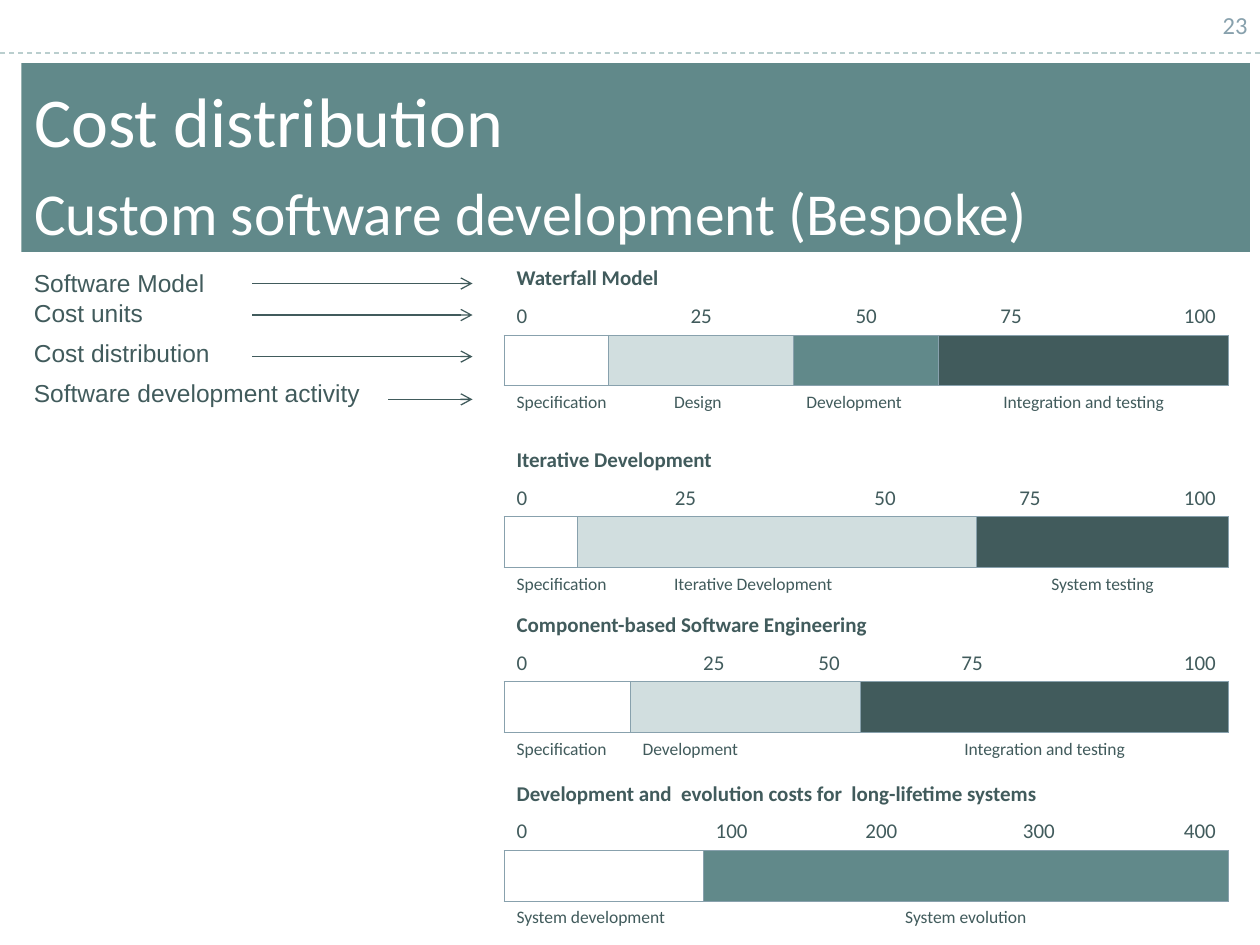
from lxml.etree import SubElement
from pptx import Presentation
from pptx.dml.color import RGBColor
from pptx.enum.dml import MSO_LINE_DASH_STYLE as Dash
from pptx.enum.shapes import MSO_CONNECTOR_TYPE as Connector
from pptx.enum.text import MSO_ANCHOR as Anchor, MSO_AUTO_SIZE as AutoSize, PP_ALIGN as Align
from pptx.oxml.ns import qn
from pptx.util import Inches, Pt

WHITE = RGBColor(0xFF, 0xFF, 0xFF)
PALE = RGBColor(0xD1, 0xDE, 0xDF)
TEAL = RGBColor(0x61, 0x89, 0x8A)
DARK = RGBColor(0x41, 0x5B, 0x5C)
GREY = RGBColor(0x88, 0xA1, 0xAD)
RULE = RGBColor(0xBA, 0xCE, 0xCE)
PLAIN_TABLE = "{2D5ABB26-0587-4C30-8999-92F81FD0307C}"

ROW_HEIGHTS = (0.3, 0.3, 0.4, 0.37)
KEY_LABELS = (("Software Model", 0), ("Cost units", 6),
              ("Cost distribution", 6), ("Software development activity", 0))
KEY_ARROWS = ((2, 2.25), (2, 2.5), (2, 2.83), (3.08, 3.17))
PERCENT = ("0", "25", "50", "75", "100")

# Each phase list holds (value, column span, alignment where it matters).
MODELS = (
    dict(name="Waterfall Model", top=2.06,
         widths=(0.83, 0.42, 1.05, 1.15, 1.15, 1.15),
         scale=PERCENT, scale_spans=(1, 2, 1, 1, 1),
         bars=((None, 1), (PALE, 2), (TEAL, 1), (DARK, 2)),
         phases=(("Specification", 2, Align.LEFT), ("Design", 1, Align.LEFT),
                 ("Development", 1, Align.LEFT), ("Integration and testing", 2, Align.CENTER))),
    dict(name="Iterative Development", top=3.5,
         widths=(0.58, 0.67, 1.05, 1.45, 0.85, 1.15),
         scale=PERCENT, scale_spans=(1, 2, 1, 1, 1),
         bars=((None, 1), (PALE, 3), (DARK, 2)),
         phases=(("Specification", 2, Align.LEFT), ("Iterative Development", 2, Align.LEFT),
                 ("System testing", 2, Align.CENTER))),
    dict(name="Component-based Software Engineering", top=4.81,
         widths=(1, 1.33, 0.5, 1.77, 1.15),
         scale=PERCENT, scale_spans=(1, 1, 1, 1, 1),
         bars=((None, 1), (PALE, 2), (DARK, 2)),
         phases=(("Specification", 1, Align.LEFT), ("Development", 2, Align.LEFT),
                 ("Integration and testing", 2, Align.CENTER))),
    dict(name="Development and  evolution costs for  long-lifetime systems", top=6.15,
         widths=(1.58, 0.75, 1.33, 1.17, 0.92),
         scale=("0", "100", "200", "300", "400"), scale_spans=(1, 1, 1, 1, 1),
         bars=((None, 1), (TEAL, 4)),
         phases=(("System development", 1, Align.LEFT), ("System evolution", 4, Align.CENTER))),
)


def write(paragraph, text, size, color, font="Calibri", align=Align.LEFT, bold=False):
    """Fill a paragraph with text in one format."""
    paragraph.text = text
    paragraph.alignment = align
    paragraph.font.size = Pt(size)
    paragraph.font.name = font
    paragraph.font.bold = bold
    paragraph.font.color.rgb = color


def add_line(slide, start, end, color):
    """Draw a thin straight line without a shadow."""
    line = slide.shapes.add_connector(Connector.STRAIGHT, *map(Inches, start + end))
    line.line.color.rgb = color
    line.line.width = Pt(0.75)
    SubElement(line._element.spPr, qn("a:effectLst"))
    return line


def add_arrow(slide, start, end):
    """Draw a line with an open head at its end."""
    arrow = add_line(slide, start, end, DARK)
    SubElement(arrow.line._get_or_add_ln(), qn("a:tailEnd"), type="arrow")


def add_page_number(slide):
    """Put the page number above the dashed rule."""
    add_line(slide, (0, 0.42), (10, 0.42), RULE).line.dash_style = Dash.DASH
    frame = slide.shapes.add_textbox(Inches(7.67), 0, Inches(2.33), Inches(0.4)).text_frame
    frame.word_wrap = True
    frame.vertical_anchor = Anchor.MIDDLE
    write(frame.paragraphs[0], "23", 14, GREY, align=Align.RIGHT)


def format_title(slide):
    """Turn the title placeholder into the two-line banner."""
    title = slide.shapes.title
    title.left, title.top, title.width, title.height = map(Inches, (0.17, 0.5, 9.75, 1.5))
    title.fill.solid()
    title.fill.fore_color.rgb = TEAL
    frame = title.text_frame
    frame.auto_size = AutoSize.NONE
    frame.vertical_anchor = Anchor.MIDDLE
    frame.margin_top = Inches(0.13)
    write(frame.paragraphs[0], "Cost distribution", 40, WHITE)
    subtitle = frame.add_paragraph()
    write(subtitle, "Custom software development (Bespoke)", 34, WHITE)
    subtitle.space_before = Pt(8.5)


def add_key(slide):
    """List what each table row means, with arrows to the rows."""
    box = slide.shapes.add_textbox(Inches(0.17), Inches(2.08), Inches(2.79), Inches(1.2))
    frame = box.text_frame
    frame.word_wrap = False
    frame.auto_size = AutoSize.SHAPE_TO_FIT_TEXT
    for index, (label, gap) in enumerate(KEY_LABELS):
        paragraph = frame.add_paragraph() if index else frame.paragraphs[0]
        write(paragraph, label, 14, DARK, font="Arial")
        paragraph.space_after = Pt(gap)
    for left, top in KEY_ARROWS:
        add_arrow(slide, (left, top), (3.75, top))


def add_borders(cell, sides):
    """Give the named sides of a cell a hairline."""
    properties = cell._tc.get_or_add_tcPr()
    for side in sides:
        border = SubElement(properties, qn(f"a:ln{side}"), w=str(Pt(0.45)))
        fill = SubElement(border, qn("a:solidFill"))
        SubElement(fill, qn("a:srgbClr"), val=str(GREY))


def merged_cells(table, row, spans):
    """Merge a row by its spans and yield the leading cells."""
    column = 0
    for span in spans:
        cell = table.cell(row, column)
        if span > 1:
            cell.merge(table.cell(row, column + span - 1))
        yield cell
        column += span


def add_model(slide, name, top, widths, scale, scale_spans, bars, phases):
    """Add one cost table: name, scale, coloured bar and phases."""
    table = slide.shapes.add_table(len(ROW_HEIGHTS), len(widths), Inches(4), Inches(top),
                                   Inches(sum(widths)), Inches(sum(ROW_HEIGHTS))).table
    table.first_row = table.horz_banding = False
    table._tbl.tblPr.find(qn("a:tableStyleId")).text = PLAIN_TABLE
    for column, width in zip(table.columns, widths):
        column.width = Inches(width)
    for row, height, sides in zip(table.rows, ROW_HEIGHTS, ("", "B", "LRTB", "T")):
        row.height = Inches(height)
        for cell in row.cells:
            add_borders(cell, sides)
            cell.fill.background()

    for cell in merged_cells(table, 0, (len(widths),)):
        write(cell.text_frame.paragraphs[0], name, 12, DARK, bold=True)

    second = Align.LEFT if scale[1] == "100" else Align.CENTER
    aligns = (Align.LEFT, second, Align.CENTER, Align.CENTER, Align.RIGHT)
    for cell, mark, align in zip(merged_cells(table, 1, scale_spans), scale, aligns):
        write(cell.text_frame.paragraphs[0], mark, 12, DARK, align=align)

    for cell, (color, _) in zip(merged_cells(table, 2, [span for _, span in bars]), bars):
        if color:
            cell.fill.solid()
            cell.fill.fore_color.rgb = color

    phase_cells = merged_cells(table, 3, [span for _, span, _ in phases])
    for cell, (phase, _, align) in zip(phase_cells, phases):
        write(cell.text_frame.paragraphs[0], phase, 10, DARK, align=align)


def main():
    """Build the cost distribution slide."""
    deck = Presentation()
    deck.slide_width, deck.slide_height = Inches(10), Inches(7.5)
    slide = deck.slides.add_slide(deck.slide_layouts[5])
    add_page_number(slide)
    format_title(slide)
    add_key(slide)
    for model in MODELS:
        add_model(slide, **model)
    deck.save("out.pptx")


if __name__ == "__main__":
    main()
